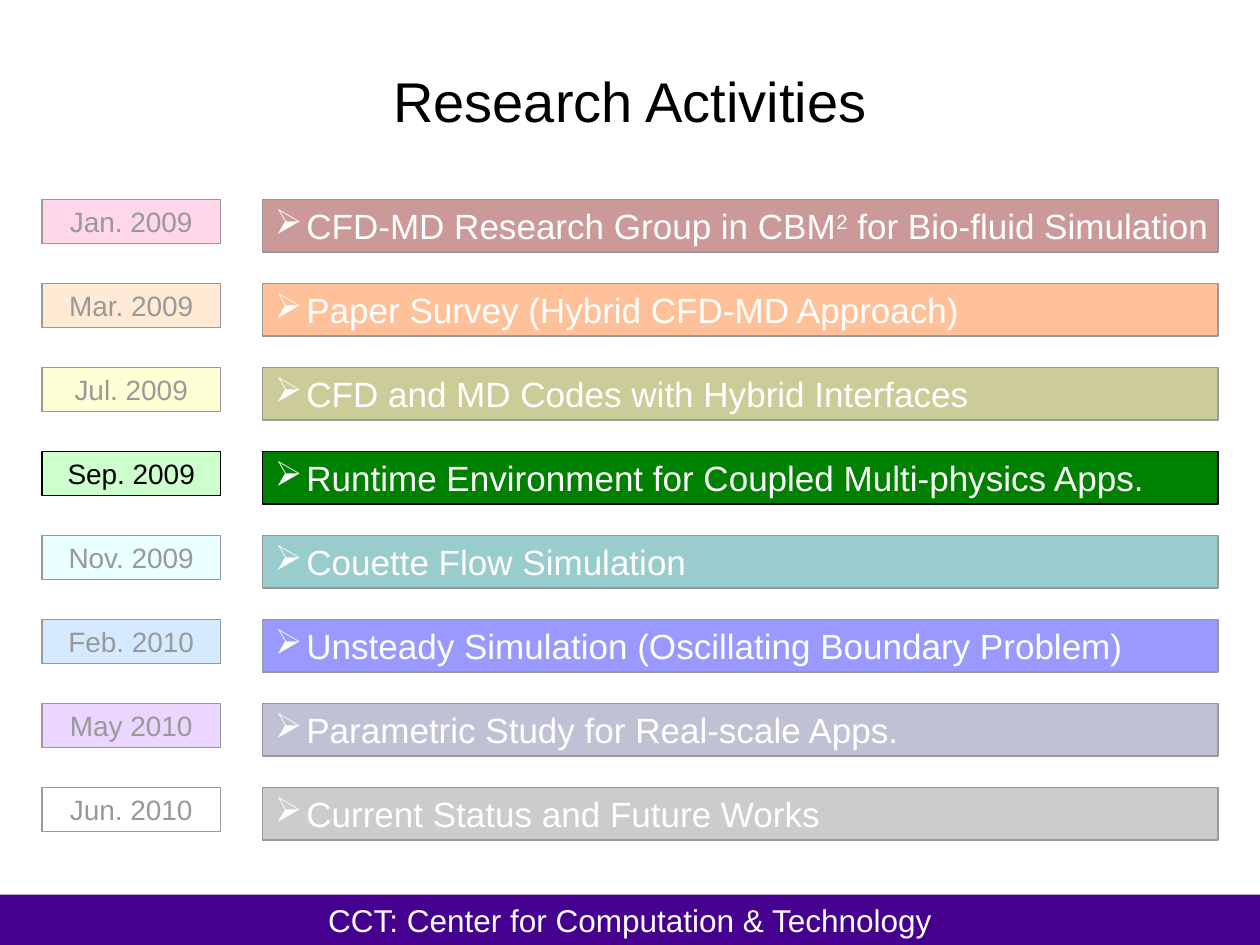
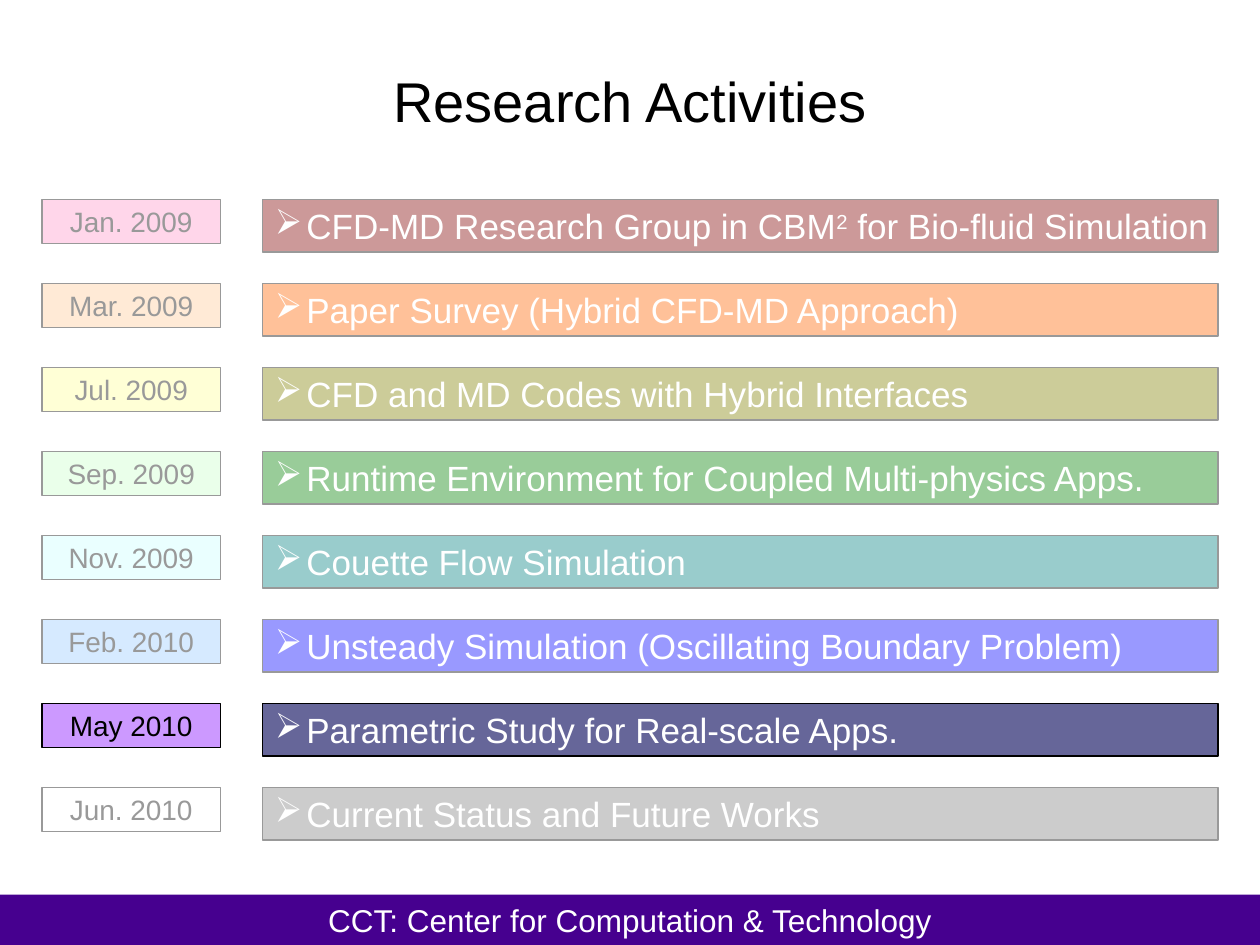
from typing import NamedTuple

from pptx import Presentation
from pptx import util as u
from pptx.dml.color import RGBColor
from pptx.enum import shapes, text
from pptx.oxml import ns
from lxml import etree

# Shared look: lengths in px, 120 px to the inch
PX = 7620
FONT = "Arial"
BLACK, WHITE, PURPLE = "000000", "FFFFFF", "46008F"
SLIDE_W, SLIDE_H = 1200, 900
FOOTER_H = 48
ROW_TOP, ROW_PITCH = 190, 80
DATE_X, DATE_W, DATE_H = 40, 170, 42
TASK_X, TASK_W, TASK_H = 250, 910, 50
VEIL_X, VEIL_W, VEIL_TOP = 10, 1170, 180
VEIL_OPACITY = 60
BULLET_INDENT = 30


class Run(NamedTuple):
    text: str
    superscript: bool = False


class Activity(NamedTuple):
    date: str
    date_fill: str
    task_fill: str
    task: list[Run]


ACTIVITIES = [
    Activity("Jan. 2009", "FF99CC", "800000",
             [Run("CFD-MD Research Group in CBM"), Run("2", True),
              Run(" for Bio-fluid Simulation")]),
    Activity("Mar. 2009", "FFCC99", "FF6600",
             [Run("Paper Survey (Hybrid CFD-MD Approach)")]),
    Activity("Jul. 2009", "FFFF99", "808000",
             [Run("CFD and MD Codes with Hybrid Interfaces")]),
    Activity("Sep. 2009", "CCFFCC", "008000",
             [Run("Runtime Environment for Coupled Multi-physics Apps.")]),
    Activity("Nov. 2009", "CCFFFF", "008080",
             [Run("Couette Flow Simulation")]),
    Activity("Feb. 2010", "99CCFF", "0000FF",
             [Run("Unsteady Simulation (Oscillating Boundary Problem)")]),
    Activity("May 2010", "CC99FF", "666699",
             [Run("Parametric Study for Real-scale Apps.")]),
    Activity("Jun. 2010", "FFFFFF", "808080",
             [Run("Current Status and Future Works")]),
]
HIGHLIGHTS = ["Sep. 2009", "May 2010"]  # one slide for each


def px(n: int) -> u.Emu:
    return u.Emu(n * PX)


def rgb(color: str) -> RGBColor:
    return RGBColor.from_string(color)


def add_rect(s, x: int, y: int, w: int, h: int, fill: str, outlined: bool = False):
    sp = s.shapes.add_shape(shapes.MSO_SHAPE.RECTANGLE, px(x), px(y), px(w), px(h))
    sp.shadow.inherit = False
    sp.fill.solid()
    sp.fill.fore_color.rgb = rgb(fill)
    if outlined:
        sp.line.color.rgb = rgb(BLACK)
        sp.line.width = u.Pt(0.75)
    else:
        sp.line.fill.background()
    return sp


def add_bullet(p) -> None:
    pPr = p._p.get_or_add_pPr()
    pPr.set("marL", str(px(BULLET_INDENT)))
    pPr.set("indent", str(-px(BULLET_INDENT)))
    color = etree.SubElement(pPr, ns.qn("a:buClr"))
    etree.SubElement(color, ns.qn("a:srgbClr"), val=WHITE)
    etree.SubElement(pPr, ns.qn("a:buChar"), char="➢")


def write(sp, runs: list[Run], size: int, color: str, bullet: bool = False,
          wrap: bool = False) -> None:
    tf = sp.text_frame
    tf.word_wrap = wrap
    tf.auto_size = text.MSO_AUTO_SIZE.NONE
    tf.vertical_anchor = text.MSO_ANCHOR.MIDDLE
    p = tf.paragraphs[0]
    p.alignment = text.PP_ALIGN.LEFT if bullet else text.PP_ALIGN.CENTER
    if bullet:
        add_bullet(p)
    for run in runs:
        r = p.add_run()
        r.text = run.text
        r.font.name = FONT
        r.font.size = u.Pt(size)
        r.font.color.rgb = rgb(color)
        if run.superscript:
            r._r.get_or_add_rPr().set("baseline", "30000")


def add_frame(s) -> None:
    # Footer band and title
    band = add_rect(s, 0, SLIDE_H - FOOTER_H, SLIDE_W, FOOTER_H, PURPLE)
    write(band, [Run("CCT: Center for Computation & Technology")], 18, WHITE, wrap=True)
    title = s.shapes.title
    title.left, title.top, title.width, title.height = map(px, (90, 20, 1020, 150))
    write(title, [Run("Research Activities")], 32, BLACK, wrap=True)


def add_activity(s, row: int, activity: Activity) -> None:
    y = ROW_TOP + row * ROW_PITCH
    date = add_rect(s, DATE_X, y, DATE_W, DATE_H, activity.date_fill, outlined=True)
    write(date, [Run(activity.date)], 16, BLACK)
    task = add_rect(s, TASK_X, y, TASK_W, TASK_H, activity.task_fill, outlined=True)
    write(task, activity.task, 20, WHITE, bullet=True)


def add_veil(s, first_row: int, end_row: int) -> None:
    """Fade the rows from first_row up to, but not including, end_row."""
    veil = add_rect(s, VEIL_X, VEIL_TOP + first_row * ROW_PITCH, VEIL_W,
                    (end_row - first_row) * ROW_PITCH, WHITE)
    color = veil._element.spPr.find(ns.qn("a:solidFill")).find(ns.qn("a:srgbClr"))
    etree.SubElement(color, ns.qn("a:alpha"), val=str(VEIL_OPACITY * 1000))


def add_timeline_slide(prs, highlight: str) -> None:
    s = prs.slides.add_slide(prs.slide_layouts[5])
    add_frame(s)
    for row, activity in enumerate(ACTIVITIES):
        add_activity(s, row, activity)
    # Everything but the highlighted row is faded
    active = [a.date for a in ACTIVITIES].index(highlight)
    add_veil(s, active + 1, len(ACTIVITIES))
    add_veil(s, 0, active)


def main() -> None:
    prs = Presentation()
    prs.slide_width, prs.slide_height = px(SLIDE_W), px(SLIDE_H)
    for highlight in HIGHLIGHTS:
        add_timeline_slide(prs, highlight)
    prs.save("out.pptx")


if __name__ == "__main__":
    main()
